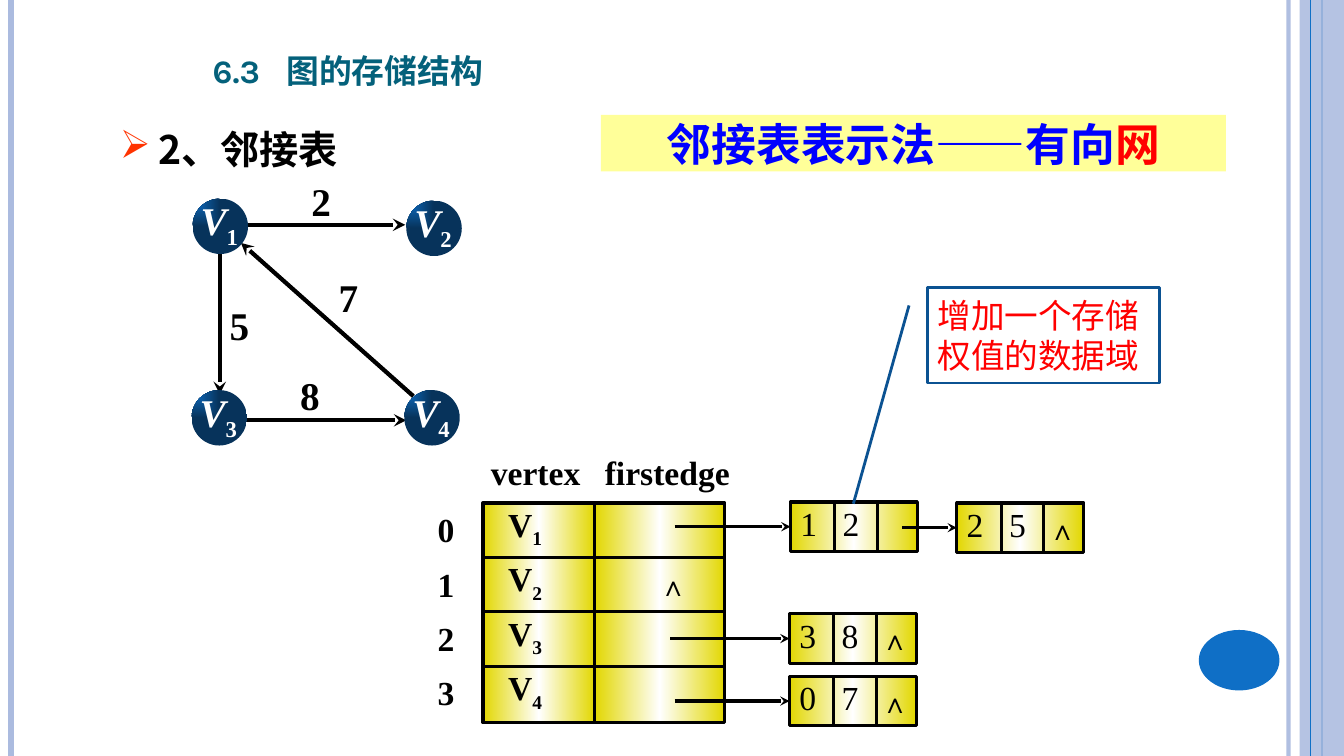
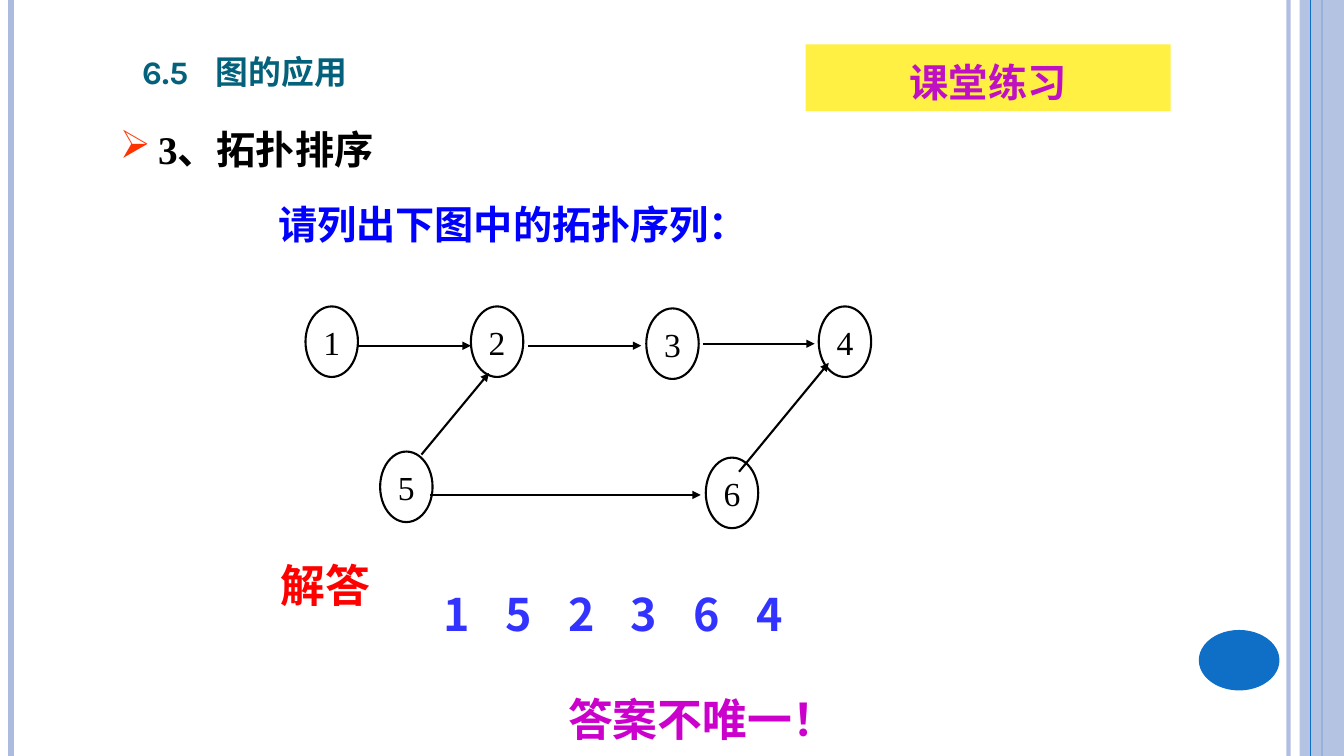
from dataclasses import dataclass
from typing import NamedTuple, Optional

from lxml import etree
from pptx import Presentation
from pptx import util as u
from pptx.dml.color import RGBColor
from pptx.enum import shapes, text as t
from pptx.oxml import ns

Inches = u.Inches
OVAL, RECTANGLE = shapes.MSO_SHAPE.OVAL, shapes.MSO_SHAPE.RECTANGLE
LEFT, CENTER = t.PP_ALIGN.LEFT, t.PP_ALIGN.CENTER
TOP, MIDDLE, BOTTOM = t.MSO_ANCHOR.TOP, t.MSO_ANCHOR.MIDDLE, t.MSO_ANCHOR.BOTTOM


@dataclass(frozen=True)
class Theme:
    heading_font: str = "Karla"
    sans: str = "Noto Sans CJK SC"
    serif: str = "Times New Roman"
    black: str = "000000"
    white: str = "FFFFFF"
    red: str = "FF0000"
    blue: str = "0000FF"
    answer_blue: str = "3333FF"
    magenta: str = "CC00CC"
    purple: str = "BF11C3"
    teal: str = "04617B"
    bullet: str = "FF3300"
    accent: str = "0F6FC6"
    accent_dark: str = "07335B"
    callout_line: str = "0B5292"
    frame: str = "ABBBDF"
    gold: str = "E2D700"
    pale_yellow: str = "FFFF99"
    yellow: str = "FFF043"
    title_size: float = 29.2
    banner_size: int = 32
    body_size: int = 28
    cell_size: int = 24
    null_size: int = 20


THEME = Theme()
CELL_INSETS = (0.1, 0.01, 0.1, 0.05)
NO_INSETS = (0, 0, 0, 0)


class Box(NamedTuple):
    left: float
    top: float
    width: float
    height: float


class Vertex(NamedTuple):
    label: str
    left: float
    top: float


class Arrow(NamedTuple):
    start: tuple[float, float]
    end: tuple[float, float]


class EdgeNode(NamedTuple):
    left: float
    top: float
    target: str
    weight: str
    is_last: bool = True


class Label(NamedTuple):
    text: str
    left: float
    top: float


def add_child(parent, tag: str, **attributes: str):
    return etree.SubElement(parent, ns.qn(tag), attributes)


def inches(values) -> list:
    return [Inches(value) for value in values]


def set_alpha(element, percent: int) -> None:
    color = next(element.iter(ns.qn("a:srgbClr")))
    add_child(color, "a:alpha", val=str(percent * 1000))


def add_run(paragraph, text: str, *, size: float, font: str, color: str, bold=False,
            italic=False, subscript=False, small_caps=False) -> None:
    run = paragraph.add_run()
    run.text = text
    run.font.size = u.Pt(size)
    run.font.bold = bold
    run.font.italic = italic
    run.font.name = font
    properties = run._r.get_or_add_rPr()
    add_child(properties, "a:ea", typeface=THEME.sans)
    run.font.color.rgb = RGBColor.from_string(color)
    if subscript:
        properties.set("baseline", "-25000")
    if small_caps:
        properties.set("cap", "small")


def write(shape, text: str, *, align=LEFT, anchor=TOP, insets=(0.1, 0.05, 0.1, 0.05),
          spacing: Optional[float] = None, tab: Optional[float] = None,
          bullet: Optional[str] = None, **font_format):
    """Fill the shape with one paragraph per line and return the last paragraph."""
    frame = shape.text_frame
    frame.word_wrap = True
    frame.auto_size = t.MSO_AUTO_SIZE.NONE
    frame.vertical_anchor = anchor
    (frame.margin_left, frame.margin_top,
     frame.margin_right, frame.margin_bottom) = inches(insets)
    for index, line in enumerate(text.split("\n")):
        paragraph = frame.add_paragraph() if index else frame.paragraphs[0]
        properties = paragraph._p.get_or_add_pPr()
        if bullet:
            properties.set("marL", str(Inches(0.38)))
            properties.set("indent", str(-Inches(0.38)))
            add_child(add_child(properties, "a:buClr"), "a:srgbClr", val=THEME.bullet)
            add_child(properties, "a:buChar", char=bullet)
        if tab:
            tabs = add_child(properties, "a:tabLst")
            add_child(tabs, "a:tab", pos=str(Inches(tab)), algn="l")
        paragraph.alignment = align
        if spacing:
            paragraph.line_spacing = spacing
        add_run(paragraph, line, **font_format)
    return paragraph


def add_text(slide, box: Box, text: str, **text_format):
    return write(slide.shapes.add_textbox(*inches(box)), text, **text_format)


def add_shape(slide, kind, box: Box, fill: Optional[str] = None,
              line: Optional[str] = None, width: float = 1):
    shape = slide.shapes.add_shape(kind, *inches(box))
    shape.shadow.inherit = False
    if fill:
        shape.fill.solid()
        shape.fill.fore_color.rgb = RGBColor.from_string(fill)
    if line:
        shape.line.color.rgb = RGBColor.from_string(line)
        shape.line.width = u.Pt(width)
    else:
        shape.line.fill.background()
    return shape


def set_gradient(shape, *colors: str, from_corner: bool = False) -> None:
    """Spread the colours evenly, left to right or outwards from the top left corner."""
    shape.fill.gradient()
    gradient = shape.element.spPr.find(ns.qn("a:gradFill"))
    for child in list(gradient):
        gradient.remove(child)
    stops = add_child(gradient, "a:gsLst")
    for index, color in enumerate(colors):
        stop = add_child(stops, "a:gs", pos=str(100000 * index // (len(colors) - 1)))
        add_child(stop, "a:srgbClr", val=color)
    if from_corner:
        shading = add_child(gradient, "a:path", path="rect")
        add_child(shading, "a:fillToRect", r="100000", b="100000")
    else:
        add_child(gradient, "a:lin", ang="0", scaled="0")


def add_line(slide, start, end, width: float, color: str = THEME.black,
             head: Optional[str] = None, target=None):
    """Draw a line; a target rectangle is joined at the middle of its left side."""
    connector = slide.shapes.add_connector(
        shapes.MSO_CONNECTOR.STRAIGHT, *inches((*start, *end)))
    if target is not None:
        connector.end_connect(target, 1)
    connector.line.color.rgb = RGBColor.from_string(color)
    connector.line.width = u.Pt(width)
    properties = connector.element.spPr
    if head:
        add_child(properties.find(ns.qn("a:ln")), "a:tailEnd", type=head)
    add_child(properties, "a:effectLst")
    return connector


def move_frame_to_layout(slide, layout) -> None:
    """Draw the page frame and hand it to the layout, so that every slide shows it."""
    for placeholder in list(layout.placeholders):
        if placeholder.placeholder_format.type != shapes.PP_PLACEHOLDER.TITLE:
            layout.shapes.element.remove(placeholder.element)

    def rule(x: float, width: float, color: str):
        return add_line(slide, (x, 0), (x, 7.5), width, color)

    inner = rule(12.78, 3, THEME.frame)
    set_alpha(inner.element.spPr, 93)
    parts = [inner, rule(0.11, 4.5, THEME.frame), rule(13.11, 1.5, THEME.accent)]
    band = add_shape(slide, RECTANGLE, Box(12.89, 0, 0.44, 7.5), THEME.frame)
    set_alpha(band.element.spPr, 87)
    parts += [band, rule(13, 0.75, THEME.accent),
              add_shape(slide, OVAL, Box(11.89, 6.25, 0.8, 0.6), THEME.accent)]
    for part in parts:
        layout.shapes.element.append(part.element)


def set_headings(slide, title: str, title_box: Box, topic: str, topic_font: str) -> None:
    placeholder = slide.shapes.title
    (placeholder.left, placeholder.top,
     placeholder.width, placeholder.height) = inches(title_box)
    write(placeholder, title, anchor=BOTTOM, tab=0.73, size=THEME.title_size,
          font=THEME.heading_font, color=THEME.teal, bold=True, small_caps=True)
    add_text(slide, Box(1.09, 1.1, 4.7, 0.76), topic, bullet="➢", spacing=1.2,
             size=THEME.body_size, font=topic_font, color=THEME.black, bold=True)


def draw_weighted_graph(slide) -> None:
    arrows = (Arrow((2.46, 2.23), (4.02, 2.23)), Arrow((2.18, 2.52), (2.18, 3.91)),
              Arrow((2.42, 4.17), (4.03, 4.17)), Arrow((4.1, 3.93), (2.39, 2.41)))
    for arrow in arrows:
        add_line(slide, arrow.start, arrow.end, 3, head="stealth")
    vertices = (Vertex("1", 1.91, 1.97), Vertex("2", 4.03, 1.99),
                Vertex("3", 1.9, 3.87), Vertex("4", 4.01, 3.87))
    bold_serif = dict(size=THEME.body_size, font=THEME.serif, bold=True)
    for label, left, top in vertices:
        circle = add_shape(slide, OVAL, Box(left, top, 0.55, 0.55))
        set_gradient(circle, THEME.accent, THEME.accent_dark, from_corner=True)
        name = add_text(slide, Box(left + 0.07, top - 0.05, 0.51, 0.65), "V",
                        insets=(0.01, 0.03, 0, 0.01), italic=True,
                        color=THEME.white, **bold_serif)
        add_run(name, label, subscript=True, color=THEME.white, **bold_serif)
    weights = (Label("2", 2.87, 1.71), Label("7", 3.14, 2.66),
               Label("8", 2.76, 3.63), Label("5", 2.06, 2.94))
    for weight, left, top in weights:
        add_text(slide, Box(left, top, 0.63, 0.57), weight, align=CENTER,
                 color=THEME.black, **bold_serif)


def add_gold_cell(slide, box: Box):
    cell = add_shape(slide, RECTANGLE, box, line=THEME.black, width=2.25)
    set_gradient(cell, THEME.gold, THEME.white, THEME.gold)
    return cell


def add_null_mark(slide, box: Box, insets=NO_INSETS) -> None:
    add_text(slide, box, "∧", insets=insets, size=THEME.null_size,
             font=THEME.serif, color=THEME.black)


def add_edge_node(slide, node: EdgeNode):
    cell = add_gold_cell(slide, Box(node.left, node.top, 1.26, 0.49))
    write(cell, f"{node.target}\t{node.weight}", insets=CELL_INSETS, tab=0.42,
          size=THEME.cell_size, font=THEME.serif, color=THEME.black)
    for offset in (0.44, 0.86):
        x = node.left + offset
        add_line(slide, (x, node.top), (x, node.top + 0.49), 2.25)
    if node.is_last:
        add_null_mark(slide, Box(node.left + 0.91, node.top + 0.09, 0.36, 0.42))
    return cell


def draw_adjacency_list(slide) -> None:
    bold_serif = dict(size=THEME.cell_size, font=THEME.serif, color=THEME.black, bold=True)
    add_text(slide, Box(4.77, 4.47, 2.68, 0.48), "vertex\tfirstedge",
             insets=CELL_INSETS, tab=1.13, **bold_serif)
    add_text(slide, Box(4.34, 4.91, 0.32, 2.22), "0\n1\n2\n3", insets=NO_INSETS,
             spacing=1.35, **bold_serif)
    for row in range(4):
        top = 4.99 + 0.54 * row
        vertex = add_gold_cell(slide, Box(4.79, top, 1.11, 0.56))
        name = write(vertex, "V", insets=(0.25, 0.01, 0.1, 0.05), **bold_serif)
        add_run(name, str(row + 1), subscript=True, **bold_serif)
        add_gold_cell(slide, Box(5.9, top, 1.29, 0.56))
    add_null_mark(slide, Box(6.38, 5.58, 0.63, 0.39), (0.16, 0.06, 0.1, 0.01))
    chain = ((6.69, EdgeNode(7.84, 4.98, "1", "2", is_last=False)),
             (8.95, EdgeNode(9.49, 4.99, "2", "5")),
             (6.65, EdgeNode(7.83, 6.09, "3", "8")),
             (6.69, EdgeNode(7.83, 6.71, "0", "7")))
    for start_x, node in chain:
        cell = add_edge_node(slide, node)
        middle = node.top + 0.49 / 2
        add_line(slide, (start_x, middle), (node.left, middle), 2.25,
                 head="stealth", target=cell)


def build_adjacency_slide(slide) -> None:
    set_headings(slide, "6.3\t图的存储结构", Box(2.01, 0.35, 4.88, 0.61),
                 "2、邻接表", THEME.sans)
    banner = add_shape(slide, RECTANGLE, Box(5.96, 1.14, 6.2, 0.56), THEME.pale_yellow)
    banner_font = dict(size=THEME.banner_size, font=THEME.sans, bold=True)
    heading = write(banner, "邻接表表示法——有向", align=CENTER, anchor=MIDDLE,
                    color=THEME.blue, **banner_font)
    add_run(heading, "网", color=THEME.red, **banner_font)
    draw_weighted_graph(slide)
    draw_adjacency_list(slide)
    callout = add_shape(slide, shapes.MSO_SHAPE.LINE_CALLOUT_1, Box(9.2, 2.85, 2.3, 0.95),
                        THEME.white, THEME.callout_line, 2)
    for index, value in enumerate((0.19, -0.08, 2.26, -0.32)):
        callout.adjustments[index] = value
    write(callout, "增加一个存储权值的数据域", anchor=MIDDLE, size=THEME.cell_size,
          font=THEME.heading_font, color=THEME.red)


def build_sorting_slide(slide) -> None:
    set_headings(slide, "6.5\t图的应用", Box(1.31, 0.36, 3.4, 0.61),
                 "3、拓扑排序", THEME.serif)
    bold_sans = dict(font=THEME.sans, bold=True)
    banner = add_shape(slide, RECTANGLE, Box(7.99, 0.44, 3.62, 0.66), THEME.yellow)
    write(banner, "课堂练习", align=CENTER, spacing=1.2, size=THEME.body_size,
          color=THEME.purple, **bold_sans)
    add_text(slide, Box(2.3, 1.94, 8.74, 0.57), "请列出下图中的拓扑序列：",
             insets=(0.46, 0.05, 0.1, 0.05), size=THEME.body_size, color=THEME.blue,
             **bold_sans)
    vertices = (Vertex("1", 3.03, 3.04), Vertex("2", 4.67, 3.04), Vertex("3", 6.41, 3.06),
                Vertex("4", 8.12, 3.04), Vertex("5", 3.77, 4.48), Vertex("6", 7, 4.54))
    for label, left, top in vertices:
        circle = add_shape(slide, OVAL, Box(left, top, 0.52, 0.7), THEME.white,
                           THEME.black, 1.5)
        write(circle, label, align=CENTER, size=THEME.cell_size, font=THEME.serif,
              color=THEME.black)
    arrows = (Arrow((3.55, 3.43), (4.67, 3.43)), Arrow((5.24, 3.43), (6.36, 3.43)),
              Arrow((6.97, 3.41), (8.08, 3.41)), Arrow((4.18, 4.51), (4.85, 3.7)),
              Arrow((4.27, 4.91), (6.95, 4.91)), Arrow((7.33, 4.68), (8.22, 3.6)))
    for arrow in arrows:
        add_line(slide, arrow.start, arrow.end, 1.5, head="triangle")
    answer = dict(align=CENTER, size=THEME.banner_size, **bold_sans)
    add_text(slide, Box(1.94, 5.48, 2.57, 0.64), "解答", color=THEME.red, **answer)
    for index, digit in enumerate("152364"):
        add_text(slide, Box(4.25 + 0.62 * index, 5.77, 0.56, 0.64), digit,
                 color=THEME.answer_blue, **answer)
    add_text(slide, Box(4.67, 6.81, 4.6, 0.64), "答案不唯一！", color=THEME.magenta, **answer)


def main() -> None:
    presentation = Presentation()
    presentation.slide_width, presentation.slide_height = Inches(13.33), Inches(7.5)
    layout = presentation.slide_layouts.get_by_name("Title Only")
    for index, build in enumerate((build_adjacency_slide, build_sorting_slide)):
        slide = presentation.slides.add_slide(layout)
        if index == 0:
            move_frame_to_layout(slide, layout)
        build(slide)
    presentation.save("out.pptx")


if __name__ == "__main__":
    main()
